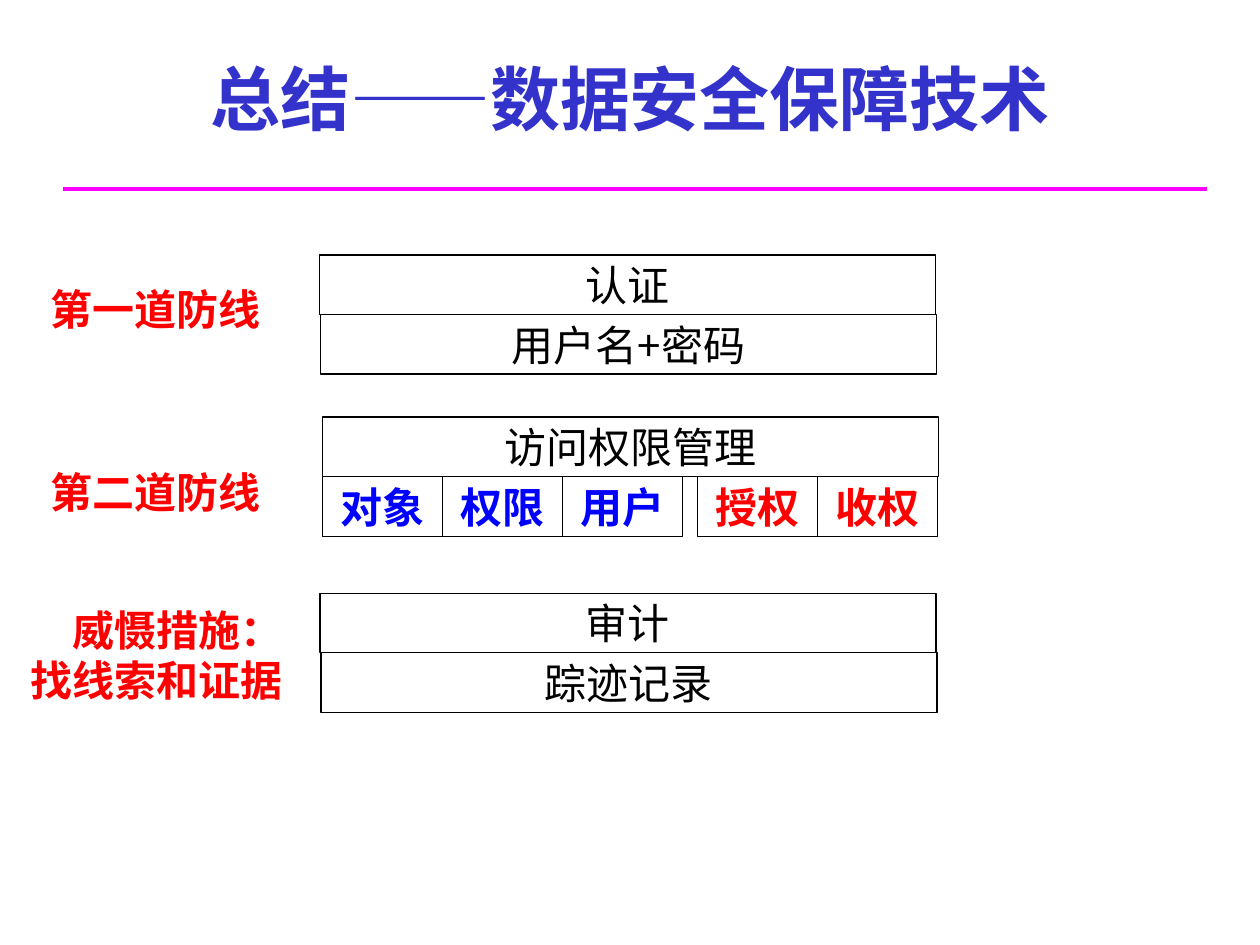
from pptx import Presentation
from pptx import util as u
from pptx.dml.color import RGBColor
from pptx.enum import shapes, text
from pptx.oxml import ns
from lxml import etree

BLACK = RGBColor(0, 0, 0)
WHITE = RGBColor(255, 255, 255)
RED = RGBColor(255, 0, 0)
BLUE = RGBColor(0, 0, 255)
INDIGO = RGBColor(0x33, 0x33, 0xCC)
MAGENTA = RGBColor(255, 0, 255)

CENTER = text.PP_ALIGN.CENTER
LEFT = text.PP_ALIGN.LEFT
RIGHT = text.PP_ALIGN.RIGHT
ROW = 1.2
CELL = 2.42


class SlideStyle:
    face = "Noto Sans CJK SC"

    def __init__(self, page):
        self.page = page

    def apply(self, target, values):
        for name, value in values.items():
            setattr(target, name, value)

    def place(self, item, area):
        names = ("left", "top", "width", "height")
        self.apply(item, dict(zip(names, map(u.Cm, area))))

    def fill_text(self, item, words, size, color, bold, align, spacing=None, pad=(0.25, 0.13), wrap=False):
        frame = item.text_frame
        side, edge = map(u.Cm, pad)
        self.apply(frame, {
            "text": words, "word_wrap": wrap, "auto_size": text.MSO_AUTO_SIZE.NONE,
            "vertical_anchor": text.MSO_ANCHOR.MIDDLE,
            "margin_left": side, "margin_right": side,
            "margin_top": edge, "margin_bottom": edge,
        })
        for para in frame.paragraphs:
            self.apply(para, {"alignment": align, "line_spacing": spacing})
            for span in para.runs:
                self.apply(span.font, {"name": self.face, "size": u.Pt(size), "bold": bold})
                span.font.color.rgb = color
                latin = span.font._element.find(ns.qn("a:latin"))
                east = etree.Element(ns.qn("a:ea"), typeface=self.face)
                latin.addnext(east)

    def title(self, words, area):
        item = self.page.shapes.title
        self.place(item, area)
        self.fill_text(item, words, 40, INDIGO, True, CENTER)

    def rule(self, left, right, top):
        line = self.page.shapes.add_connector(
            shapes.MSO_CONNECTOR.STRAIGHT, u.Cm(left), u.Cm(top), u.Cm(right), u.Cm(top))
        line.line.color.rgb = MAGENTA
        line.line.width = u.Pt(2)
        etree.SubElement(line._element.spPr, ns.qn("a:effectLst"))

    def box(self, words, left, top, width, color=BLACK, bold=False):
        item = self.page.shapes.add_shape(
            shapes.MSO_SHAPE.RECTANGLE, *map(u.Cm, (left, top, width, ROW)))
        item.shadow.inherit = False
        item.fill.solid()
        item.fill.fore_color.rgb = WHITE
        item.line.color.rgb = BLACK
        item.line.width = u.Pt(0.75)
        side = 0 if bold else 0.15
        self.fill_text(item, words, 24, color, bold, CENTER, u.Pt(28.8), (side, 0.03), True)

    def label(self, words, area, align=LEFT):
        item = self.page.shapes.add_textbox(*map(u.Cm, area))
        self.fill_text(item, words, 24, RED, True, align, u.Pt(28.8))


def main():
    deck = Presentation()
    deck.slide_width, deck.slide_height = u.Cm(25.4), u.Cm(19.05)
    style = SlideStyle(deck.slides.add_slide(deck.slide_layouts[5]))

    style.rule(1.27, 24.33, 3.81)
    style.title("总结——数据安全保障技术", (3.86, 0.99, 17.68, 1.96))

    stacks = [
        (6.44, 5.14, ("认证", "用户名+密码")),
        (6.5, 8.41, ("访问权限管理",)),
        (6.45, 11.96, ("审计", "踪迹记录")),
    ]
    for left, top, rows in stacks:
        for index, words in enumerate(rows):
            style.box(words, left + 0.02 * index, top + ROW * index, 12.42)

    cells = [(6.5, BLUE, ("对象", "权限", "用户")), (14.06, RED, ("授权", "收权"))]
    for left, color, names in cells:
        for index, words in enumerate(names):
            style.box(words, left + CELL * index, 8.41 + ROW, CELL, color, True)

    style.label("第一道防线", (0.76, 5.59, 4.75, 1.27))
    style.label("第二道防线", (0.76, 9.27, 4.75, 1.27))
    style.label("威慑措施：\n找线索和证据", (0.36, 12.04, 5.59, 2.31), RIGHT)

    deck.save("out.pptx")


if __name__ == "__main__":
    main()
